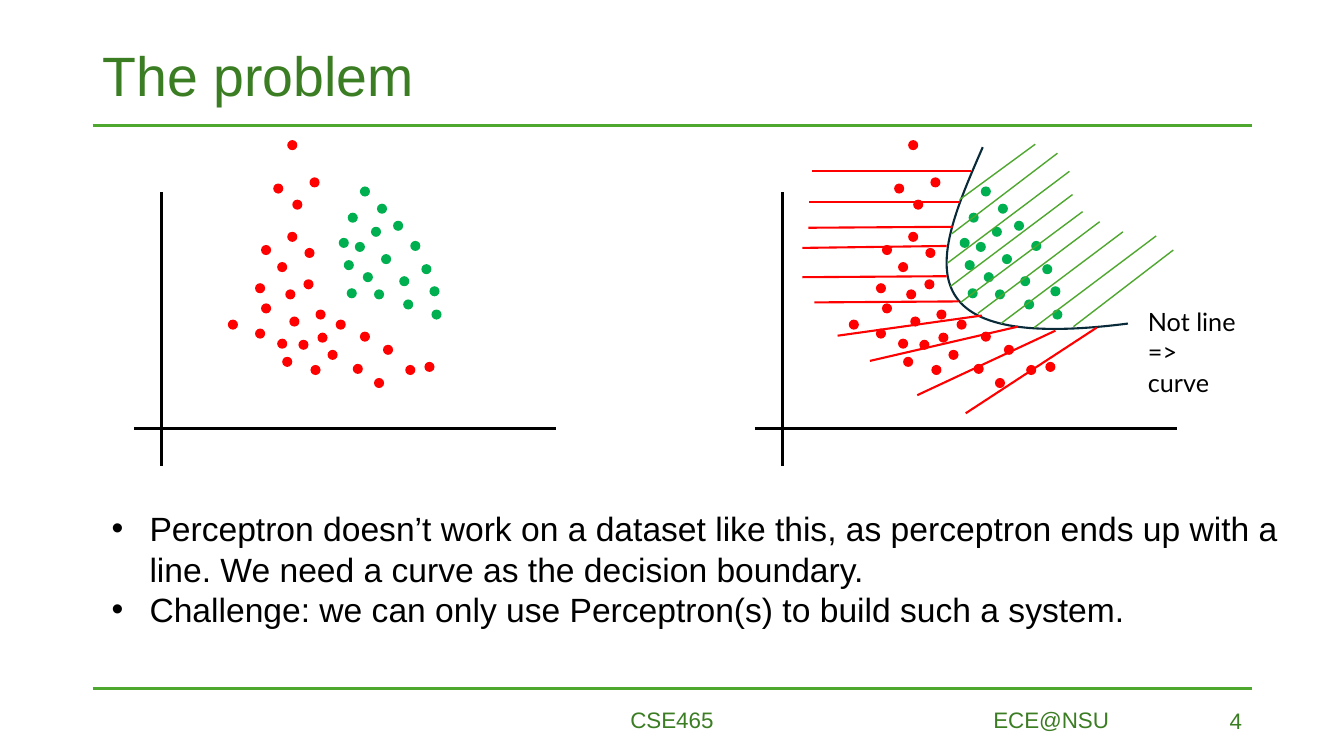
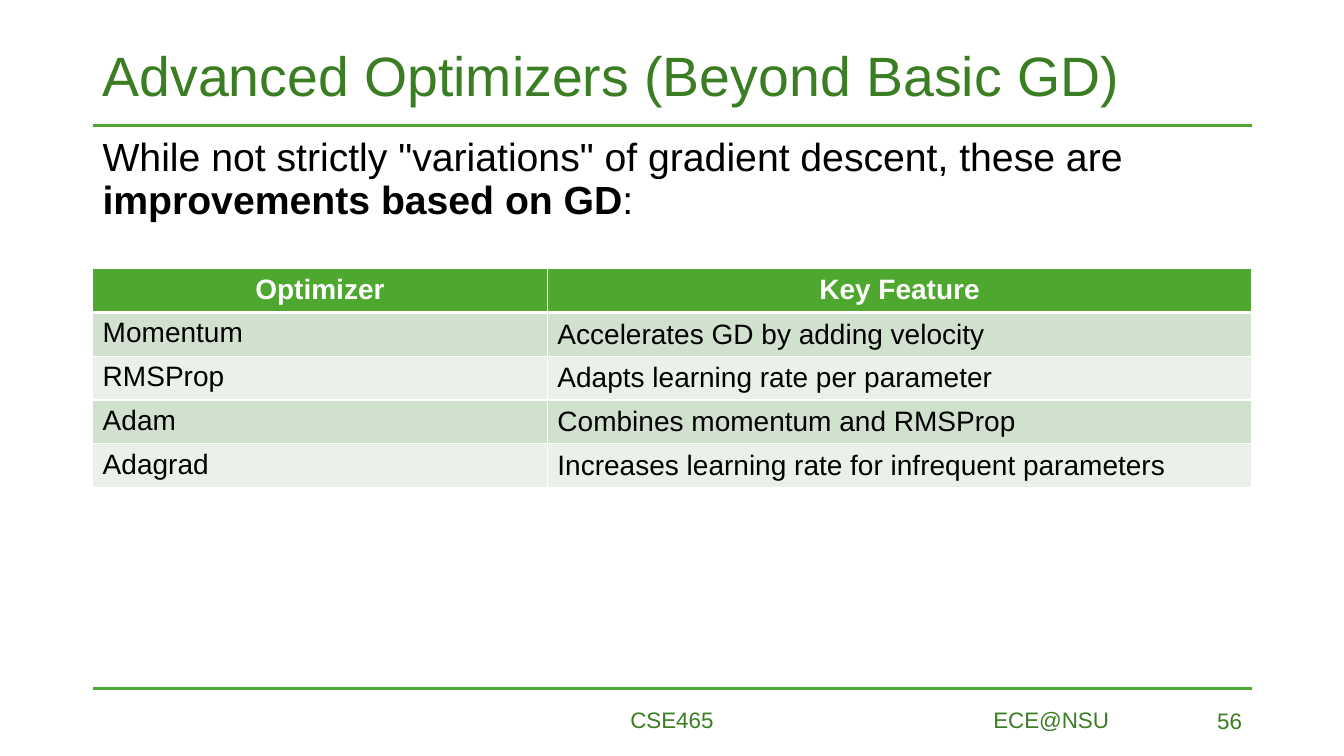
from lxml import etree
from pptx import Presentation
from pptx.dml.color import RGBColor
from pptx.enum.shapes import MSO_CONNECTOR, MSO_SHAPE
from pptx.enum.text import MSO_ANCHOR, PP_ALIGN
from pptx.oxml.ns import qn
from pptx.util import Pt

LEFT, CENTER, RIGHT = PP_ALIGN.LEFT, PP_ALIGN.CENTER, PP_ALIGN.RIGHT
TOP, MIDDLE = MSO_ANCHOR.TOP, MSO_ANCHOR.MIDDLE
STRAIGHT, OVAL = MSO_CONNECTOR.STRAIGHT, MSO_SHAPE.OVAL

BLACK = RGBColor(0x00, 0x00, 0x00)
WHITE = RGBColor(0xFF, 0xFF, 0xFF)
RED = RGBColor(0xFF, 0x00, 0x00)
DOT_GREEN = RGBColor(0x00, 0xB0, 0x50)
GREEN = RGBColor(0x4E, 0xA7, 0x2E)
DARK_GREEN = RGBColor(0x3B, 0x7D, 0x23)
NAVY = RGBColor(0x09, 0x2A, 0x39)
BAND_DARK = RGBColor(0xD0, 0xE1, 0xCD)
BAND_LIGHT = RGBColor(0xE9, 0xF1, 0xE8)

MARGIN, CONTENT_W = 66.2, 828
DOT = 7.2

# Dots and lines are offsets in points from the top left of a plot.
RED_DOTS = [
    (90.7, 74.9), (86.4, 102.2), (108, 106.6), (99.4, 31), (144, 128.2),
    (102.2, 141.8), (177.8, 146.2), (138.2, 149.8), (90.7, 116.6), (110.9, 126),
    (131, 137.5), (105.8, 154.8), (126, 160.6), (67, 128.2), (86.4, 134.6),
    (129.6, 121), (102.2, 87.1), (109.4, 65.5), (121, 99.4), (117.4, 142.6),
    (161.3, 136.8), (109.4, 0), (125.3, 26.6), (121.7, 77), (113, 42.5),
    (156.2, 159.8), (171.4, 169.9), (193.7, 160.6), (207.4, 158.4),
]
GREEN_DOTS = [
    (152.6, 51.8), (157.7, 72.7), (149.8, 85.7), (151.9, 105.8), (163.4, 94.3),
    (146.2, 69.8), (169.2, 61.9), (171.4, 106.6), (161.3, 33.1), (173.5, 45.4),
    (185, 57.6), (176.4, 81.4), (197.3, 72), (189.4, 97.2), (205.2, 88.6),
    (192.2, 113.8), (211, 104.4), (212.4, 121),
]
AXES = [(19.4, 37.4, 19.4, 232.6), (0, 205.9, 301.7, 205.9)]
GREEN_HATCH = [
    (146.2, 42.5, 200.2, 2.9), (140.4, 67, 216, 9.4), (137.5, 87.8, 224.6, 22.3),
    (139.7, 104.4, 226.8, 38.9), (146.9, 115.9, 234, 51.1),
    (159.1, 123.8, 246.2, 58.3), (175.7, 131, 262.8, 65.5),
    (199.4, 133.9, 286.6, 68.4), (227.5, 133.2, 298.8, 78.5),
]
RED_HATCH = [
    (154.1, 22.3, 41, 22.3), (146.2, 43.9, 38.9, 43.9), (141.1, 61.9, 38.2, 62.6),
    (136.8, 75.6, 33.8, 77), (136.8, 97.2, 33.8, 97.9),
    (145.4, 115.2, 42.5, 115.9), (162, 125.3, 59, 139.7),
    (187.9, 133.2, 82.1, 157.7), (214.6, 136.1, 115.9, 182.2),
    (244.1, 133.9, 150.5, 195.1),
]
BOUNDARY = [(162.7, 5), (130.3, 79.2), (98.6, 152.6), (266.4, 131)]

OPTIMIZERS = [
    ("Optimizer", "Key Feature"),
    ("Momentum", "Accelerates GD by adding velocity"),
    ("RMSProp", "Adapts learning rate per parameter"),
    ("Adam", "Combines momentum and RMSProp"),
    ("Adagrad", "Increases learning rate for infrequent parameters"),
]


def write(tf, paragraphs, size=16, color=DARK_GREEN, font="Arial", bold=False,
          align=LEFT, anchor=TOP, spacing=None, bullet_indent=0):
    """Fill a text frame; a paragraph is a string or a list of (text, bold)."""
    tf.word_wrap = True
    tf.vertical_anchor = anchor
    for i, content in enumerate(paragraphs):
        p = tf.paragraphs[0] if i == 0 else tf.add_paragraph()
        p.alignment = align
        if spacing:
            p.line_spacing = spacing
        if bullet_indent:
            pPr = p._p.get_or_add_pPr()
            pPr.set("marL", str(Pt(bullet_indent)))
            pPr.set("indent", str(-Pt(bullet_indent)))
            etree.SubElement(pPr, qn("a:buFont")).set("typeface", "Arial")
            etree.SubElement(pPr, qn("a:buChar")).set("char", "•")
        runs = [(content, bold)] if isinstance(content, str) else content
        for text, is_bold in runs:
            r = p.add_run()
            r.text = text
            r.font.name, r.font.size, r.font.bold = font, Pt(size), is_bold
            r.font.color.rgb = color


def add_text(s, x, y, w, h, *paragraphs, **style):
    box = s.shapes.add_textbox(Pt(x), Pt(y), Pt(w), Pt(h))
    write(box.text_frame, paragraphs, **style)


def add_line(s, x1, y1, x2, y2, color, width):
    line = s.shapes.add_connector(STRAIGHT, Pt(x1), Pt(y1), Pt(x2), Pt(y2))
    line.line.color.rgb = color
    line.line.width = Pt(width)
    etree.SubElement(line._element.spPr, qn("a:effectLst"))


def add_lines(s, left, top, lines, color, width):
    for x1, y1, x2, y2 in lines:
        add_line(s, left + x1, top + y1, left + x2, top + y2, color, width)


def add_curve(s, left, top, points, color, width):
    """Draw one cubic curve: start, two control points, end."""
    start, *rest = [(Pt(left + x), Pt(top + y)) for x, y in points]
    builder = s.shapes.build_freeform(*start)
    builder.add_line_segments(rest, close=False)
    sp = builder.convert_to_shape()
    sp.shadow.inherit = False
    sp.fill.background()
    sp.line.color.rgb = color
    sp.line.width = Pt(width)
    path = next(sp._element.iter(qn("a:path")))
    bezier = etree.SubElement(path, qn("a:cubicBezTo"))
    for segment in path.findall(qn("a:lnTo")):
        bezier.append(segment[0])
        path.remove(segment)


def add_dots(s, left, top, dots, color):
    for x, y in dots:
        sp = s.shapes.add_shape(OVAL, Pt(left + x), Pt(top + y), Pt(DOT), Pt(DOT))
        sp.shadow.inherit = False
        sp.fill.solid()
        sp.fill.fore_color.rgb = color
        sp.line.fill.background()


def add_scatter(s, left, top):
    add_lines(s, left, top, AXES, BLACK, 2)
    add_dots(s, left, top, RED_DOTS, RED)
    add_dots(s, left, top, GREEN_DOTS, DOT_GREEN)


def add_separated_scatter(s, left, top):
    """Scatter plot with the curved boundary and its two hatched sides."""
    add_curve(s, left, top, BOUNDARY, NAVY, 1.5)
    add_scatter(s, left, top)
    add_lines(s, left, top, GREEN_HATCH, GREEN, 1)
    add_lines(s, left, top, RED_HATCH, RED, 1.5)
    add_text(s, left + 273.6, top + 115.2, 80, 51, "Not line", "=> curve",
             size=18, color=BLACK, font="Lato")


def set_borders(cell, **widths):
    tcPr = cell._tc.get_or_add_tcPr()
    for side in "LRTB":
        ln = etree.SubElement(tcPr, qn("a:ln" + side))
        ln.set("w", str(Pt(widths.get(side, 1))))
        fill = etree.SubElement(ln, qn("a:solidFill"))
        etree.SubElement(fill, qn("a:srgbClr")).set("val", str(WHITE))


def add_table(s, left, top, col_widths, row_height, rows):
    frame = s.shapes.add_table(len(rows), len(col_widths), Pt(left), Pt(top),
                               Pt(sum(col_widths)), Pt(row_height * len(rows)))
    table = frame.table
    for column, width in zip(table.columns, col_widths):
        column.width = Pt(width)
    for i, texts in enumerate(rows):
        table.rows[i].height = Pt(row_height)
        header = i == 0
        for j, text in enumerate(texts):
            cell = table.cell(i, j)
            set_borders(cell, **({"B": 3} if header else {"T": 3} if i == 1 else {}))
            cell.fill.solid()
            cell.fill.fore_color.rgb = (
                GREEN if header else BAND_DARK if i % 2 else BAND_LIGHT)
            write(cell.text_frame, [text], size=20, bold=header,
                  color=WHITE if header else BLACK,
                  align=CENTER if header else LEFT)
            cell.vertical_anchor = TOP if header or j == 0 else MIDDLE


def add_base_slide(prs, title, number):
    """Add a slide with the shared title, rules and footer."""
    s = prs.slides.add_slide(prs.slide_layouts[6])
    for y in (89.5, 491.8):
        add_line(s, MARGIN, y, MARGIN + CONTENT_W, y, GREEN, 2)
    add_text(s, MARGIN, 28.8, CONTENT_W, 54, title, size=39.6, anchor=MIDDLE,
             spacing=0.9)
    add_text(s, 683.3, 499.7, 116, 28, "ECE@NSU", align=RIGHT, anchor=MIDDLE)
    add_text(s, 318, 500.5, 324, 28.8, "CSE465", align=CENTER)
    add_text(s, 678.2, 500.5, 216, 28.8, str(number), align=RIGHT, anchor=MIDDLE)
    return s


def build_problem_slide(prs):
    s = add_base_slide(prs, "The problem", 4)
    add_scatter(s, 95.8, 100.1)
    add_separated_scatter(s, 539.3, 100.1)
    add_text(s, 72.7, 359.5, 848.2, 94.3,
             "Perceptron doesn’t work on a dataset like this, as perceptron ends "
             "up with a line. We need a curve as the decision boundary.",
             "Challenge: we can only use Perceptron(s) to build such a system.",
             size=24, color=BLACK, bullet_indent=27)


def build_optimizers_slide(prs):
    s = add_base_slide(prs, "Advanced Optimizers (Beyond Basic GD)", 56)
    add_text(s, MARGIN, 95, CONTENT_W, 391,
             [('While not strictly "variations" of gradient descent, these are ', False),
              ("improvements based on GD", True), (":", False)],
             size=28, color=BLACK, spacing=0.9)
    add_table(s, MARGIN, 192, (324.8, 503.2), 29.6, OPTIMIZERS)


def main():
    prs = Presentation()
    prs.slide_width, prs.slide_height = Pt(960), Pt(540)
    build_problem_slide(prs)
    build_optimizers_slide(prs)
    prs.save("out.pptx")


if __name__ == "__main__":
    main()
